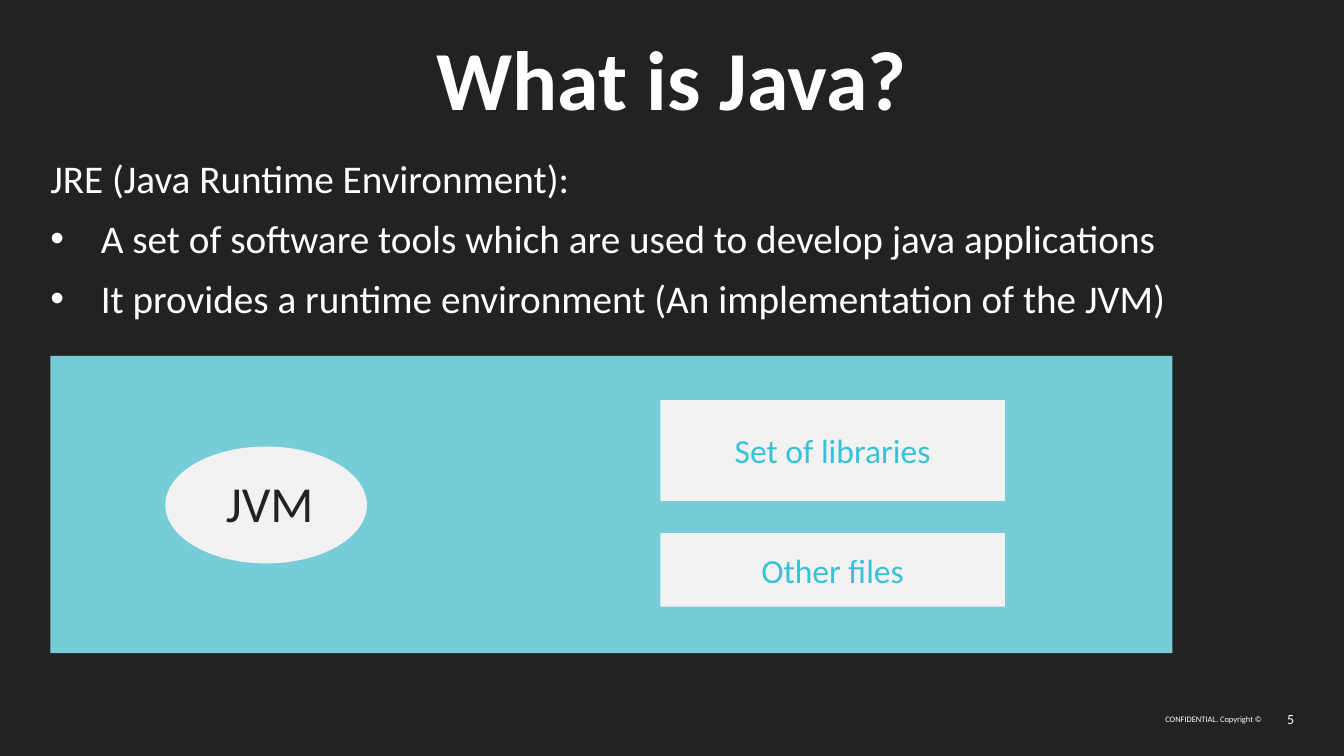
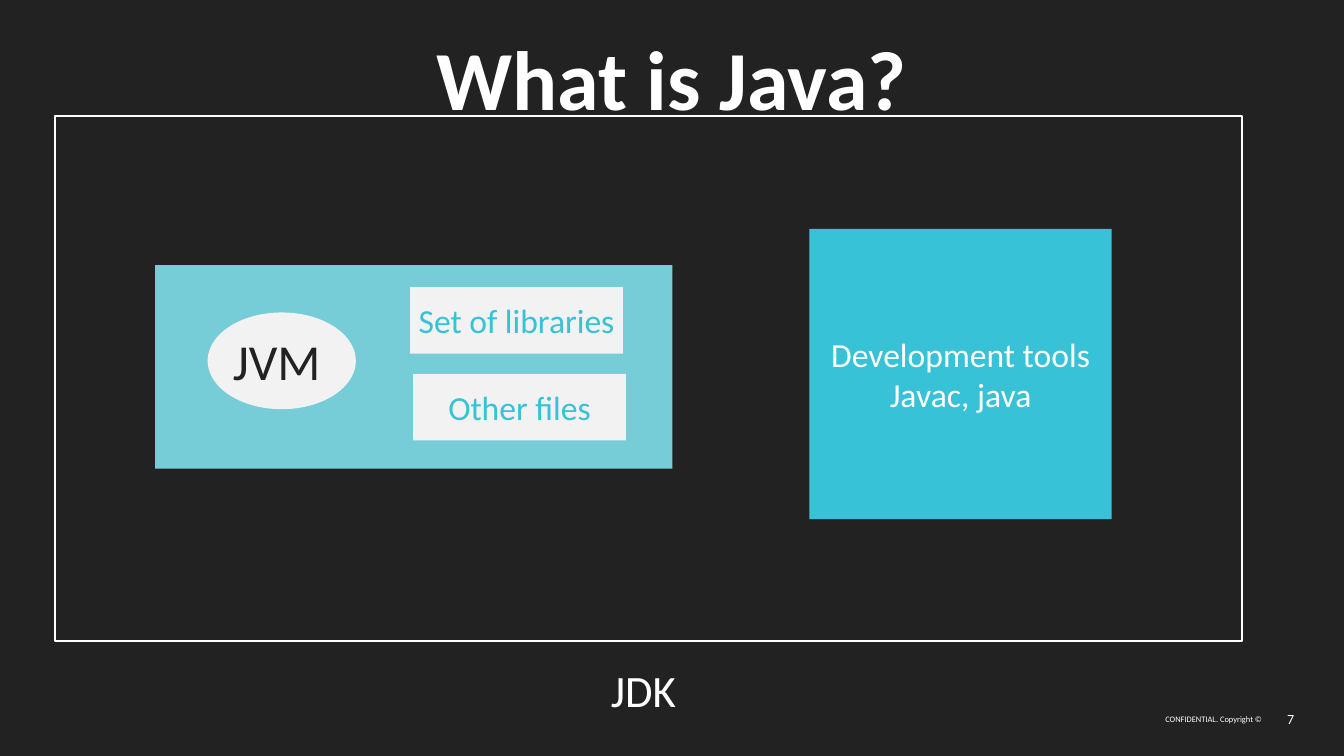
import pptx
import pptx.util
import pptx.dml.color
import pptx.enum.shapes
import pptx.enum.text
import pptx.oxml.ns
import lxml.etree

COLOURS = {
    "night": "222222",
    "white": "FFFFFF",
    "panel": "76CDD8",
    "accent": "38C2D7",
    "pale": "F2F2F2",
}
FONT = "Calibri"
RECT = pptx.enum.shapes.MSO_SHAPE.RECTANGLE
OVAL = pptx.enum.shapes.MSO_SHAPE.OVAL
LEFT = pptx.enum.text.PP_ALIGN.LEFT
CENTER = pptx.enum.text.PP_ALIGN.CENTER
RIGHT = pptx.enum.text.PP_ALIGN.RIGHT
TOP = pptx.enum.text.MSO_ANCHOR.TOP
MIDDLE = pptx.enum.text.MSO_ANCHOR.MIDDLE

deck = pptx.Presentation()
deck.slide_width = pptx.util.Inches(13.33)
deck.slide_height = pptx.util.Inches(7.5)
COLUMN = deck.slide_width / 40
ROW = deck.slide_height / 30

backdrop = deck.slide_master.background.fill
backdrop.solid()
backdrop.fore_color.rgb = pptx.dml.color.RGBColor.from_string(COLOURS["night"])


def write(holder, cells, text, size, colour, align=LEFT, anchor=TOP, bold=False):
    column, row, columns, rows = cells
    holder.left, holder.width = int(column * COLUMN), int(columns * COLUMN)
    holder.top, holder.height = int(row * ROW), int(rows * ROW)
    frame = holder.text_frame
    frame.text = text
    frame.word_wrap = True
    frame.auto_size = pptx.enum.text.MSO_AUTO_SIZE.NONE
    frame.vertical_anchor = anchor
    frame.margin_left = frame.margin_right = frame.margin_top = frame.margin_bottom = 0
    for paragraph in frame.paragraphs:
        paragraph.alignment = align
        for run in paragraph.runs:
            run.font.name = FONT
            run.font.size = pptx.util.Pt(size)
            run.font.bold = bold
            run.font.color.rgb = pptx.dml.color.RGBColor.from_string(COLOURS[colour])


def draw(slide, kind, cells, fill, text="", colour="accent"):
    shape = slide.shapes.add_shape(kind, 0, 0, 0, 0)
    shape.shadow.inherit = False
    if fill:
        shape.fill.solid()
        shape.fill.fore_color.rgb = pptx.dml.color.RGBColor.from_string(COLOURS[fill])
        shape.line.fill.background()
    else:
        shape.fill.background()
        shape.line.color.rgb = pptx.dml.color.RGBColor.from_string(COLOURS["white"])
        shape.line.width = pptx.util.Pt(1.5)
    write(shape, cells, text, 24, colour, CENTER, MIDDLE)


TITLE_AND_BODY, TITLE_ONLY = deck.slide_layouts[1], deck.slide_layouts[5]
pages = []
for layout, number in ((TITLE_AND_BODY, "5"), (TITLE_ONLY, "7")):
    page = deck.slides.add_slide(layout)
    pages.append(page)
    write(page.shapes.title, (12.93, 1.04, 14.13, 4.04), "What is Java?", 60, "white", CENTER, bold=True)
    for cells, text, size in (
        ((34.47, 28.04, 3.09, 0.96), "CONFIDENTIAL. Copyright ©", 6),
        ((37.71, 28.04, 0.81, 0.96), number, 10),
    ):
        write(page.shapes.add_textbox(0, 0, 0, 0), cells, text, size, "white", RIGHT, MIDDLE)
jre_page, jdk_page = pages

jre_points = jre_page.placeholders[1]
write(
    jre_points,
    (1.5, 5.92, 37.02, 8.2),
    "JRE (Java Runtime Environment):\n"
    "A set of software tools which are used to develop java applications\n"
    "It provides a runtime environment (An implementation of the JVM)",
    28,
    "white",
)
for index, point in enumerate(jre_points.text_frame.paragraphs):
    point.line_spacing = 1.1
    point.space_before = pptx.util.Pt(6)
    properties = point._p.get_or_add_pPr()
    indent = int(1.5 * COLUMN) if index else 0
    properties.set("marL", str(indent))
    properties.set("indent", str(-indent))
    bullet = lxml.etree.SubElement(properties, pptx.oxml.ns.qn("a:buChar" if index else "a:buNone"))
    if index:
        bullet.set("char", "•")

for page, panel, machine, machine_label, libraries, files in (
    (
        jre_page,
        (1.5, 14.12, 33.39, 11.8),
        (4.92, 17.72, 6, 4.64),
        (6.72, 18.72, 3, 2.44),
        (19.65, 15.88, 10.26, 4),
        (19.65, 21.16, 10.26, 2.92),
    ),
    (
        jdk_page,
        (4.62, 10.52, 15.39, 8.08),
        (6.18, 12.4, 4.41, 3.84),
        (6.93, 13.08, 2.91, 2.44),
        (12.21, 11.4, 6.33, 2.64),
        (12.3, 14.84, 6.33, 2.64),
    ),
):
    draw(page, RECT, panel, "panel")
    draw(page, OVAL, machine, "pale")
    write(page.shapes.add_textbox(0, 0, 0, 0), machine_label, "JVM", 36, "night")
    draw(page, RECT, libraries, "pale", "Set of libraries")
    draw(page, RECT, files, "pale", "Other files")

draw(jdk_page, RECT, (24.09, 9.08, 9, 11.52), "accent", "Development tools\nJavac, java", "white")
draw(jdk_page, RECT, (1.65, 4.6, 35.31, 20.84), None)
write(jdk_page.shapes.add_textbox(0, 0, 0, 0), (18.18, 26.28, 2.19, 2.16), "JDK", 32, "white")

deck.save("out.pptx")
